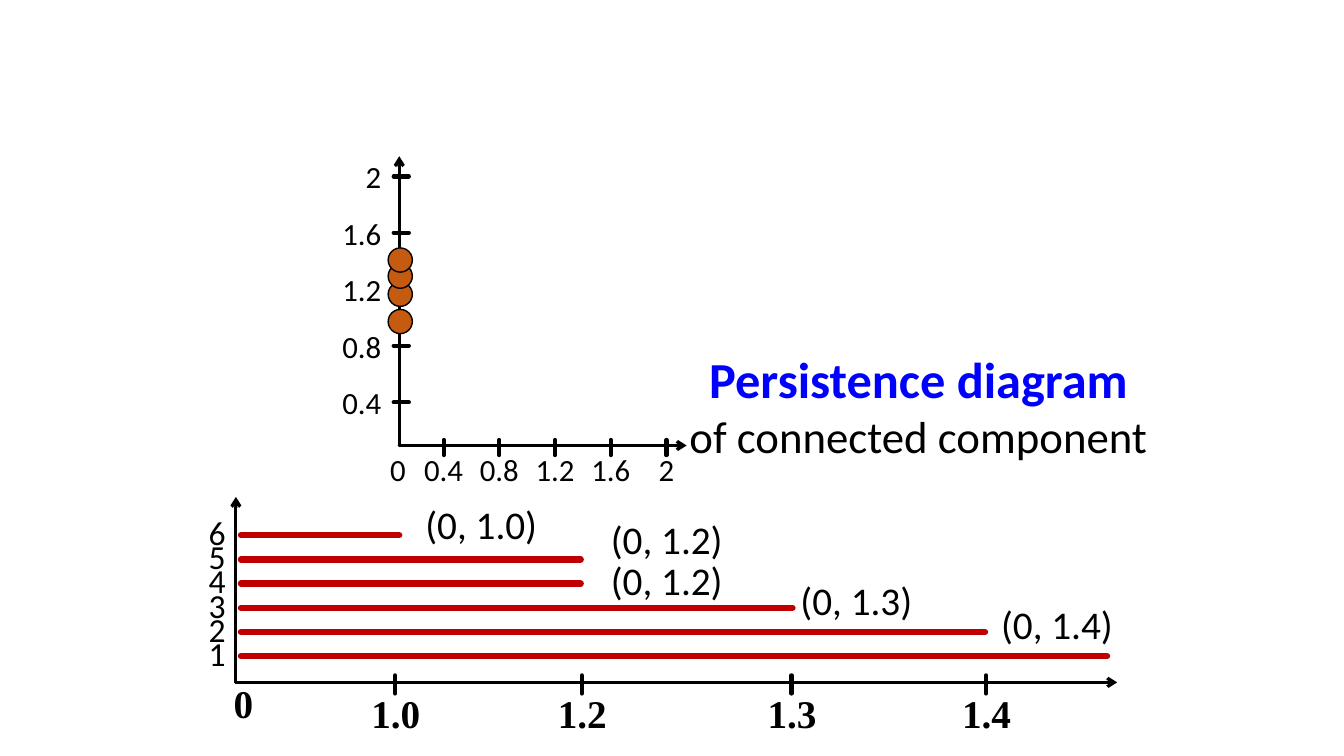
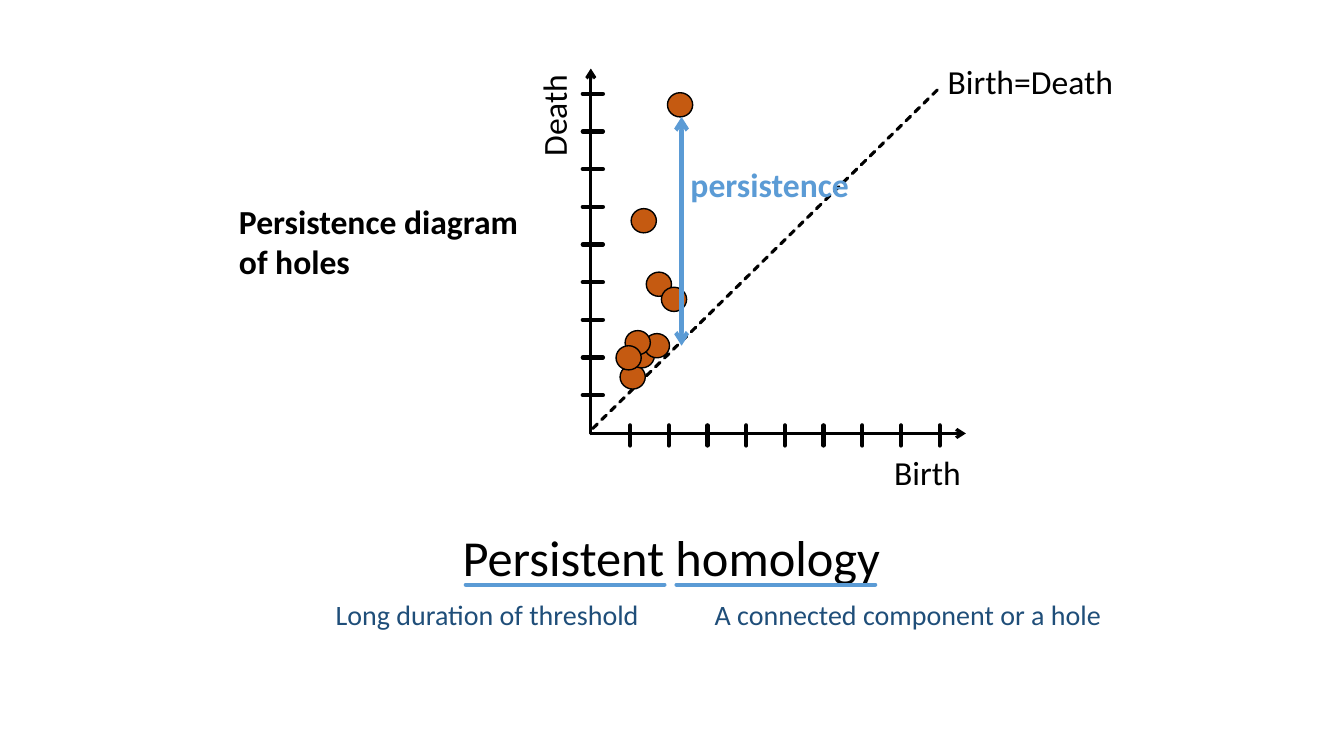
from lxml.etree import SubElement
from pptx import Presentation
from pptx.dml.color import RGBColor
from pptx.enum.dml import MSO_LINE
from pptx.enum.shapes import MSO_CONNECTOR, MSO_SHAPE
from pptx.enum.text import MSO_ANCHOR, MSO_AUTO_SIZE, PP_ALIGN
from pptx.oxml.ns import qn
from pptx.util import Inches, Pt

rgb = RGBColor.from_string
BLACK, RED, ORANGE = "000000", "C00000", "C55A11"
SKY, NAVY, BLUE = "5B9BD5", "1F4E79", "0000FF"
LEFT, CENTER, RIGHT = PP_ALIGN.LEFT, PP_ALIGN.CENTER, PP_ALIGN.RIGHT
TICK_SHIFT = 0.02


def line(page, start, end, color=BLACK, width=3, arrows=(), dash=None):
    """Draw a round-capped line; arrows names its ends: headEnd, tailEnd."""
    points = [Inches(value) for value in (*start, *end)]
    link = page.shapes.add_connector(MSO_CONNECTOR.STRAIGHT, *points)
    link.line.color.rgb = rgb(color)
    link.line.width = Pt(width)
    if dash:
        link.line.dash_style = dash
    outline = link.line._get_or_add_ln()
    outline.set("cap", "rnd")
    SubElement(outline, qn("a:round"))
    for arrow in arrows:
        SubElement(outline, qn(f"a:{arrow}"), type="arrow")
    SubElement(link._element.spPr, qn("a:effectLst"))


def label(page, text, at, size, color=BLACK, bold=False, align=LEFT,
          font="Calibri", title=False):
    """Write text, one paragraph a line, in a new box or in the page's title."""
    box = page.shapes.title if title else page.shapes.add_textbox(0, 0, 0, 0)
    box.left, box.top, box.width, box.height = [Inches(value) for value in at]
    frame = box.text_frame
    frame.text = text
    frame.word_wrap = False
    frame.auto_size = MSO_AUTO_SIZE.SHAPE_TO_FIT_TEXT
    frame.vertical_anchor = MSO_ANCHOR.TOP
    for para in frame.paragraphs:
        para.alignment = align
        para.font.name, para.font.size, para.font.bold = font, Pt(size), bold
        para.font.color.rgb = rgb(color)
    return box


deck = Presentation()
deck.slide_width, deck.slide_height = Inches(13.33), Inches(7.5)
components, holes = [deck.slides.add_slide(deck.slide_layouts[5])
                     for _ in range(2)]

heading = label(components, "Persistence diagram\nof connected component",
                (6.62, 3.4, 4.98, 1.25), 36, BLUE, True, CENTER, title=True)
second = heading.text_frame.paragraphs[1]
second.font.size, second.font.bold = Pt(32), False
second.font.color.rgb = rgb(BLACK)
label(holes, "Persistence diagram\nof holes", (2.27, 1.94, 3, 0.91), 24,
      bold=True, title=True)

# Persistence diagrams: axes, ticks and points
line(holes, (5.88, 4.25), (9.32, 0.87), width=2.25, dash=MSO_LINE.SQUARE_DOT)
plots = [
    dict(page=components, origin=(3.96, 4.42), ends=(6.81, 1.55),
         first=(4.4, 3.99), last=(6.61, 1.75), tick=0.15,
         names=["0.4", "0.8", "1.2", "1.6", "2"], dot=(0.24, 0.24),
         dots=[(3.85, 3.07), (3.85, 2.8), (3.85, 2.62), (3.85, 2.46)]),
    dict(page=holes, origin=(5.86, 4.3), ends=(9.58, 0.68),
         first=(6.25, 3.92), last=(9.32, 0.93), tick=0.2,
         names=[""] * 9, dot=(0.25, 0.24),
         dots=[(6.26, 2.07), (6.41, 2.7), (6.56, 2.85), (6.62, 0.92),
               (6.15, 3.62), (6.24, 3.41), (6.39, 3.31), (6.2, 3.28),
               (6.11, 3.43)]),
]
for plot in plots:
    page, (x0, y0), (x_end, y_end) = plot["page"], plot["origin"], plot["ends"]
    line(page, (x0, y0), (x_end, y0), width=2.25, arrows=["tailEnd"])
    line(page, (x0, y0), (x0, y_end), width=2.25, arrows=["tailEnd"])
    low, high = TICK_SHIFT - plot["tick"] / 2, TICK_SHIFT + plot["tick"] / 2
    for i, name in enumerate(plot["names"]):
        share = i / (len(plot["names"]) - 1)
        x, y = [a + (b - a) * share
                for a, b in zip(plot["first"], plot["last"])]
        line(page, (x, y0 + low), (x, y0 + high))
        line(page, (x0 + low, y), (x0 + high, y))
        if name:
            label(page, name, (x - 0.3, y0, 0.6, 0.47), 22, align=CENTER)
            label(page, name, (x0 - 0.67, y - 0.23, 0.59, 0.47), 22,
                  align=RIGHT)
    for corner in plot["dots"]:
        place = [Inches(value) for value in (*corner, *plot["dot"])]
        dot = page.shapes.add_shape(MSO_SHAPE.OVAL, *place)
        dot.shadow.inherit = False
        dot.fill.solid()
        dot.fill.fore_color.rgb = rgb(ORANGE)
        dot.line.color.rgb = rgb(BLACK)
        dot.line.width = Pt(1)
label(components, "0", (3.77, 4.42, 0.36, 0.47), 22)

# Barcode of the connected components
line(components, (2.34, 6.77), (11.08, 6.77), width=2.25, arrows=["tailEnd"])
line(components, (2.34, 6.77), (2.34, 4.93), width=2.25, arrows=["tailEnd"])
bars = [
    (3.96, "(0, 1.0)", 4.12, 4.91),
    (5.76, "(0, 1.2)", 5.96, 5.06),
    (5.76, "(0, 1.2)", 5.96, 5.47),
    (7.86, "(0, 1.3)", 7.84, 5.67),
    (9.77, "(0, 1.4)", 9.83, 5.91),
    (10.98, "", 0, 0),
]
for row, (death, pair, x, y) in enumerate(bars):
    level = 5.31 + 0.24 * row
    line(components, (2.39, level), (death, level), RED, 4.5)
    number = label(components, str(len(bars) - row),
                   (1.97, level - 0.22, 0.32, 0.45), 24)
    number.text_frame.paragraphs[0].line_spacing = 0.85
    if pair:
        label(components, pair, (x, y, 1.32, 0.57), 28)
label(components, "0", (2.22, 6.69, 0.4, 0.57), 28, bold=True,
      font="Times New Roman")
for x, threshold in [(3.92, "1.0"), (5.77, "1.2"), (7.85, "1.3"),
                     (9.78, "1.4")]:
    line(components, (x, 6.7), (x, 6.88))
    label(components, threshold, (x - 0.34, 6.79, 0.69, 0.57), 28, bold=True,
          align=CENTER, font="Times New Roman")

# Axis names, persistence and the explanation of the term
label(holes, "Birth", (8.77, 4.43, 0.87, 0.5), 24)
label(holes, "Death", (4.98, 0.89, 1.02, 0.5), 24).rotation = 270
label(holes, "Birth=Death", (9.3, 0.56, 1.86, 0.5), 24)
line(holes, (6.76, 1.16), (6.76, 3.43), SKY, arrows=["headEnd", "tailEnd"])
label(holes, "persistence", (6.75, 1.58, 1.79, 0.5), 24, SKY, True)
label(holes, "Persistent homology", (4.49, 5.17, 4.38, 0.71), 36)
for x, meaning, left, width in [
        (4.62, "Long duration of threshold", 3.23, 3.23),
        (6.71, "A connected component or a hole", 6.99, 4.07)]:
    line(holes, (x, 5.8), (x + 1.97, 5.8), SKY)
    label(holes, meaning, (left, 5.88, width, 0.44), 20, NAVY)

deck.save("out.pptx")
